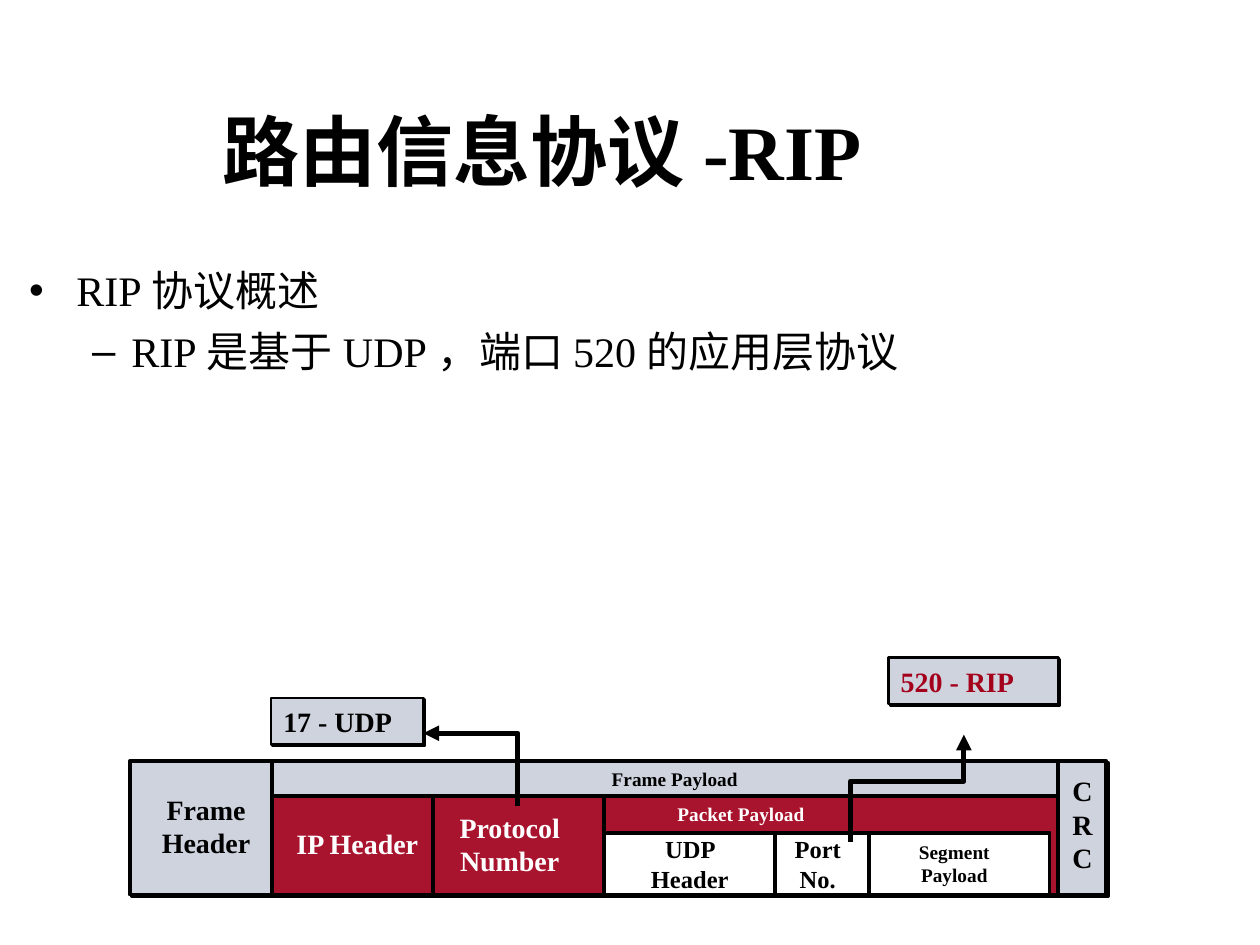
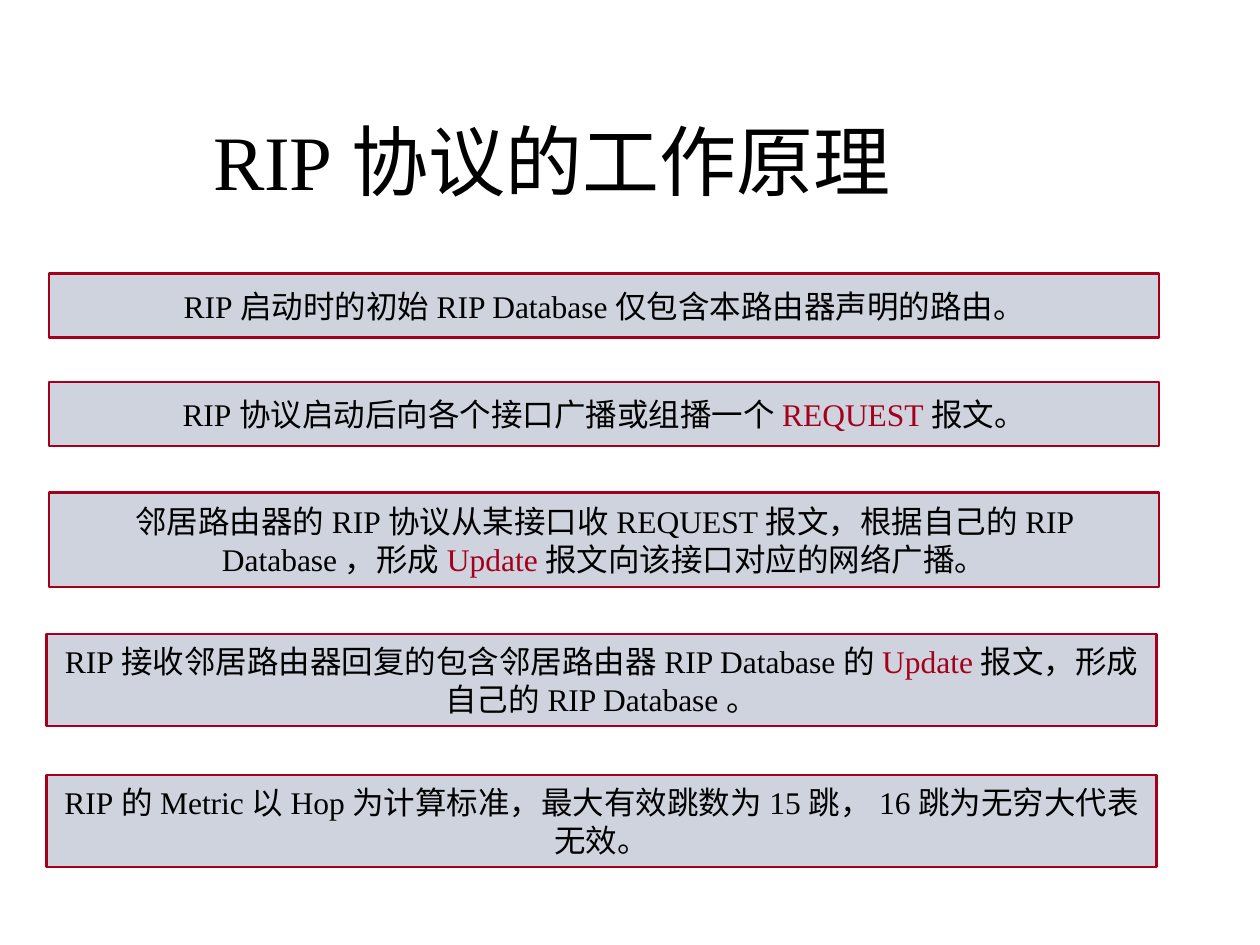
"""Build two slides on the RIP routing protocol."""
from lxml import etree
from pptx import Presentation
from pptx.dml.color import RGBColor
from pptx.enum.shapes import MSO_CONNECTOR, MSO_SHAPE
from pptx.enum.text import MSO_ANCHOR, MSO_AUTO_SIZE, PP_ALIGN
from pptx.oxml import parse_xml
from pptx.oxml.ns import nsdecls, qn
from pptx.util import Pt

HUES = {"ink": "000000", "red": "A4001B", "gray": "CED3DE", "white": "FFFFFF"}
FONT = "Times New Roman"
SHADE = (f'<a:effectLst {nsdecls("a")}><a:outerShdw dist="17780" dir="2700000">'
         f'<a:srgbClr val="{HUES["ink"]}"/></a:outerShdw></a:effectLst>')


def write(frame, lines, size, bold=False, align=PP_ALIGN.CENTER, gap=0):
    """Fill a frame with lines, each a list of (text, hue) runs."""
    frame.word_wrap = True
    frame.auto_size = MSO_AUTO_SIZE.NONE
    frame.vertical_anchor = MSO_ANCHOR.MIDDLE
    for i, runs in enumerate(lines):
        para = frame.add_paragraph() if i else frame.paragraphs[0]
        para.alignment = align
        para.space_before = Pt(gap)
        for text, hue in runs:
            run = para.add_run()
            run.text = text
            run.font.name = FONT
            run.font.size = Pt(size)
            run.font.bold = bold
            run.font.color.rgb = RGBColor.from_string(HUES[hue])


def block(slide, spot, fill, edge, width, shade=False):
    """Add a filled, outlined rectangle."""
    rect = slide.shapes.add_shape(MSO_SHAPE.RECTANGLE, *map(Pt, spot))
    rect.fill.solid()
    rect.fill.fore_color.rgb = RGBColor.from_string(HUES[fill])
    rect.line.color.rgb = RGBColor.from_string(HUES[edge])
    rect.line.width = Pt(width)
    rect.shadow.inherit = False
    if shade:
        props = rect.element.spPr
        props.replace(props.find(qn("a:effectLst")), parse_xml(SHADE))
    return rect


deck = Presentation()
deck.slide_width, deck.slide_height = Pt(720), Pt(540)
heads = [
    (1, "路由信息协议-RIP", True, 14.4, 54.7),
    (5, "RIP协议的工作原理", False, 20.2, 60.5),
]
pages = []
for layout, text, bold, left, top in heads:
    page = deck.slides.add_slide(deck.slide_layouts[layout])
    title = page.shapes.title
    title.left, title.top, title.width, title.height = map(Pt, (left, top, 590.4, 61.2))
    write(title.text_frame, [[(text, "ink")]], 44, bold)
    pages.append(page)
packet, steps = pages

body = packet.placeholders[1]
body.left, body.top, body.width, body.height = map(Pt, (9.4, 141.8, 671, 216))
points = ["RIP协议概述", "RIP是基于UDP，端口520的应用层协议"]
write(body.text_frame, [[(text, "ink")] for text in points], 24,
      align=PP_ALIGN.LEFT, gap=6)
body.text_frame.vertical_anchor = MSO_ANCHOR.TOP
first, second = body.text_frame.paragraphs
first.line_spacing = 1.2
second.level = 1

left, right, base = 74.2, 632.2, 511.2
top, mid, low = 434.9, 455, 475.9
head, proto, load, port, seg, crc = 155.5, 247.7, 344.9, 442.8, 496.8, 604.8
block(packet, (left, top, right - left, base - top), "gray", "ink", 2.25, True)
inner = block(packet, (head, mid, crc - head, base - mid), "red", "ink", 2.25)
tint = inner.element.spPr.find(qn("a:solidFill"))[0]
etree.SubElement(tint, qn("a:alpha"), val="90000")
block(packet, (load, low, 254.9, base - low), "white", "ink", 2.25)

for x, y in [(head, top), (crc, top), (proto, mid), (load, mid), (port, low), (seg, low)]:
    rule = packet.shapes.add_connector(MSO_CONNECTOR.STRAIGHT, Pt(x), Pt(y), Pt(x), Pt(base))
    rule.line.color.rgb = RGBColor.from_string(HUES["ink"])
    rule.line.width = Pt(2.25)
    etree.SubElement(rule.element.spPr, qn("a:effectLst"))

labels = [
    (350.6, 473, 87.1, 41, ["UDP Header"], 14, "ink"),
    (port, 473, 49, 41, ["Port No."], 14, "ink"),
    (501.8, 476.6, 87.1, 33.8, ["Segment", "Payload"], 11, "ink"),
    (160.6, 468.7, 87.1, 26.6, ["IP Header"], 16, "white"),
    (proto, 459.4, 87.1, 45.4, ["Protocol Number"], 16, "white"),
    (left, 449.3, 87.1, 45.4, ["Frame Header"], 16, "ink"),
    (crc, 438.5, 27.4, 64.8, ["C", "R", "C"], 16, "ink"),
    (323.3, mid, 200.2, 20.2, ["Packet Payload"], 11, "white"),
    (285.1, top, 200.9, 20.2, ["Frame Payload"], 11, "ink"),
]
for x, y, wide, high, lines, size, hue in labels:
    label = packet.shapes.add_textbox(Pt(x), Pt(y), Pt(wide), Pt(high))
    write(label.text_frame, [[(line, hue)] for line in lines], size, True)

for x, y, wide, text, hue in [(154.8, 398.9, 87.1, "17 - UDP", "ink"),
                              (507.6, 375.8, 97.2, "520 - RIP", "red")]:
    tag = block(packet, (x, y, wide, 26.6), "gray", "ink", 1.5, True)
    write(tag.text_frame, [[(text, hue)]], 16, True, PP_ALIGN.LEFT)

bends = [
    [(295.9, 460.8), (295.9, 419), (241.9, 419)],
    [(486, 481), (486, 446.4), (550.8, 446.4), (550.8, 419.8)],
]
for bend in bends:
    start, *rest = [(Pt(x), Pt(y)) for x, y in bend]
    pen = packet.shapes.build_freeform(*start)
    pen.add_line_segments(rest, close=False)
    arrow = pen.convert_to_shape()
    arrow.fill.background()
    arrow.shadow.inherit = False
    arrow.line.color.rgb = RGBColor.from_string(HUES["ink"])
    arrow.line.width = Pt(3)
    etree.SubElement(arrow.element.spPr.find(qn("a:ln")), qn("a:tailEnd"), type="triangle")

rows = [
    (28.1, 156.2, 36.7, [("RIP启动时的初始RIP Database仅包含本路由器声明的路由。", "ink")]),
    (28.1, 218.2, 36.7, [("RIP协议启动后向各个接口广播或组播一个", "ink"),
                         ("REQUEST", "red"), ("报文。", "ink")]),
    (28.1, 281.5, 54, [("邻居路由器的RIP协议从某接口收REQUEST报文，根据自己的RIP Database，形成", "ink"),
                       ("Update", "red"), ("报文向该接口对应的网络广播。", "ink")]),
    (26.6, 362.2, 52.6, [("RIP接收邻居路由器回复的包含邻居路由器RIP Database的", "ink"),
                         ("Update", "red"), ("报文，形成自己的RIP Database。", "ink")]),
    (26.6, 442.8, 52.6, [("RIP的Metric以Hop为计算标准，最大有效跳数为15跳，16跳为无穷大代表无效。", "ink")]),
]
for x, y, high, runs in rows:
    step = block(steps, (x, y, 634.3, high), "gray", "red", 1.5)
    write(step.text_frame, [runs], 18, gap=4.5)

deck.save("out.pptx")
